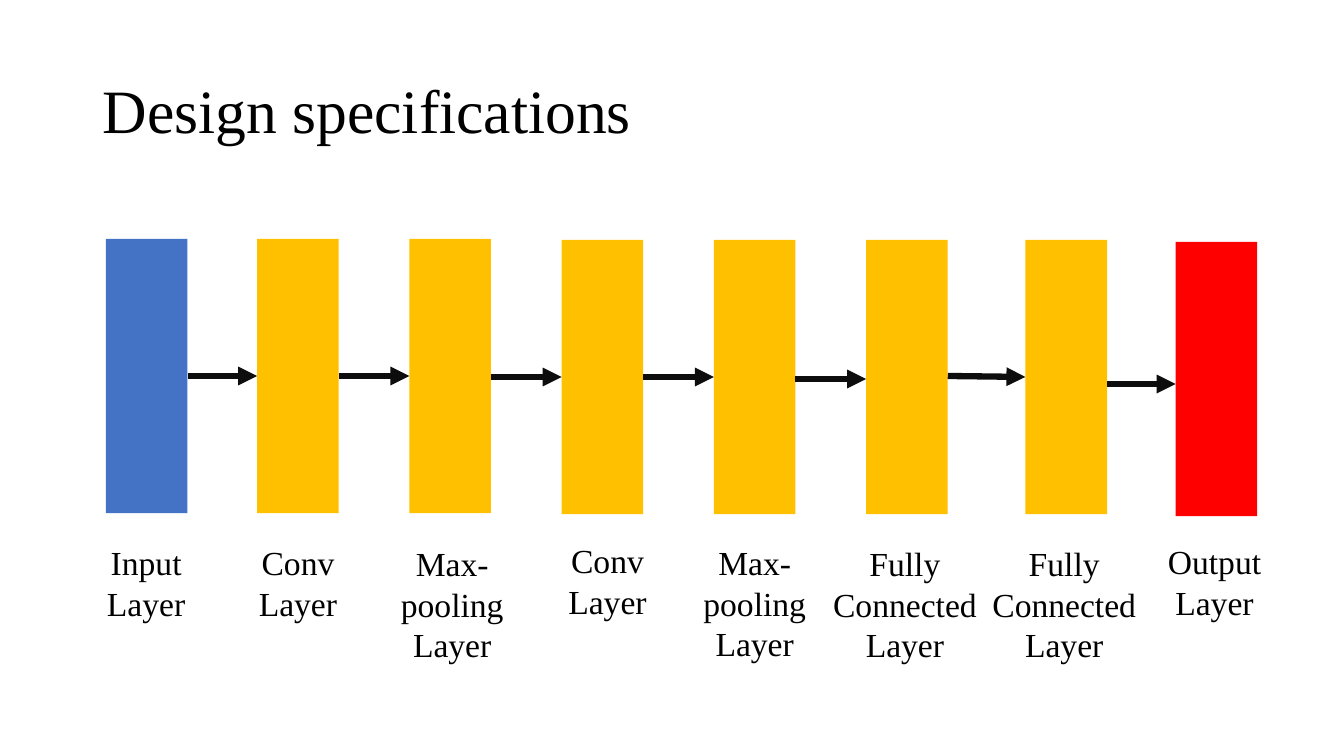
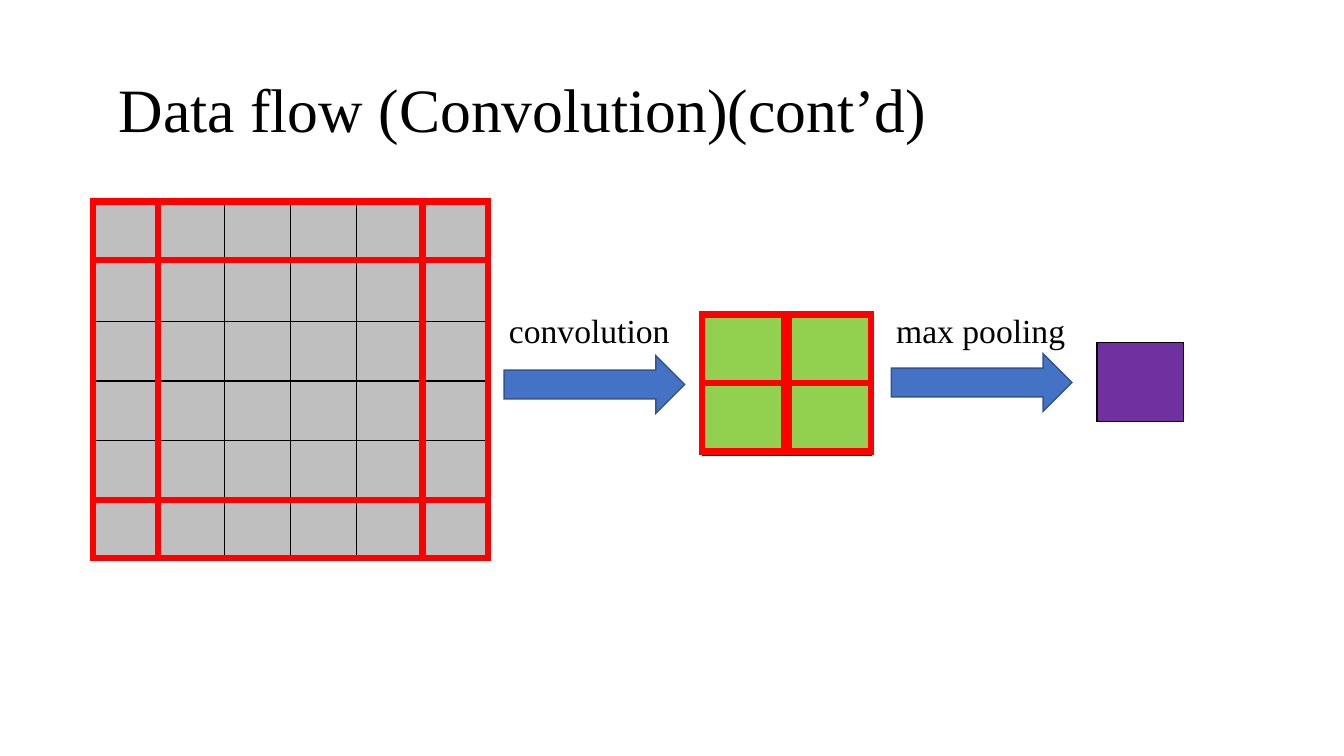
import dataclasses
import itertools

import lxml.etree
import pptx
import pptx.dml.color
import pptx.enum.shapes
import pptx.enum.text
import pptx.oxml
import pptx.oxml.ns
import pptx.util

Inches = pptx.util.Inches
Pt = pptx.util.Pt
qn = pptx.oxml.ns.qn
SHAPES = pptx.enum.shapes.MSO_SHAPE
ALIGN = pptx.enum.text.PP_ALIGN
ANCHOR = pptx.enum.text.MSO_ANCHOR


@dataclasses.dataclass(frozen=True)
class Theme:
    font: str = "Times New Roman"
    title_size: int = 44
    label_size: int = 24
    text: str = "000000"
    blue: str = "4472C4"
    blue_edge: str = "325491"
    amber: str = "FFC000"
    red: str = "FF0000"
    grey: str = "BFBFBF"
    green: str = "92D050"
    purple: str = "7030A0"
    link: str = "0D0D0D"
    thin: float = 1
    thick: float = 4.5


THEME = Theme()

BAR_WIDTH, BAR_HEIGHT = 0.81, 2.72
# Name, colour, bar left, bar top, label left, label top, label width
LAYERS = [
    ("Input Layer", THEME.blue, 1.05, 2.37, 0.92, 5.33, 1.06),
    ("Conv Layer", THEME.amber, 2.55, 2.37, 2.3, 5.33, 1.31),
    ("Max-pooling Layer", THEME.amber, 4.06, 2.37, 3.83, 5.34, 1.31),
    ("Conv Layer", THEME.amber, 5.57, 2.38, 5.37, 5.31, 1.31),
    ("Max-pooling Layer", THEME.amber, 7.08, 2.38, 6.83, 5.33, 1.31),
    ("Fully Connected Layer", THEME.amber, 8.59, 2.38, 8.13, 5.34, 1.69),
    ("Fully Connected Layer", THEME.amber, 10.17, 2.38, 9.71, 5.34, 1.69),
    ("Output Layer", THEME.red, 11.66, 2.4, 11.39, 5.32, 1.31),
]
# Start and end height of the arrow after each layer
LINK_HEIGHTS = [(3.73, 3.73), (3.73, 3.73), (3.74, 3.74), (3.74, 3.74),
                (3.76, 3.76), (3.73, 3.74), (3.81, 3.81)]


def rgb(colour):
    return pptx.dml.color.RGBColor.from_string(colour)


def apply_format(target, values):
    for name, value in values.items():
        setattr(target, name, value)


def add_text(slide, text, box, size=THEME.label_size, frame=None, paragraph=None):
    text_frame = slide.shapes.add_textbox(*map(Inches, box)).text_frame
    apply_format(text_frame, {"word_wrap": True, **(frame or {})})
    line = text_frame.paragraphs[0]
    apply_format(line, paragraph or {})
    run = line.add_run()
    run.text = text
    apply_format(run.font, {"name": THEME.font, "size": Pt(size)})
    run.font.color.rgb = rgb(THEME.text)


def add_title(slide, text, left, top):
    add_text(slide, text, (left, top, 11.5, 1.45), THEME.title_size,
             {"vertical_anchor": ANCHOR.MIDDLE}, {"line_spacing": 0.9})


def add_block(slide, box, fill=None, edge=None, weight=THEME.thin,
              preset=SHAPES.RECTANGLE):
    """Add a preset shape with square corners; no fill or edge colour means none."""
    block = slide.shapes.add_shape(preset, *map(Inches, box))
    block.shadow.inherit = False
    for part, colour in ((block.fill, fill), (block.line.fill, edge)):
        if colour:
            part.solid()
            part.fore_color.rgb = rgb(colour)
        else:
            part.background()
    if edge:
        block.line.width = Pt(weight)
        lxml.etree.SubElement(block.line._get_or_add_ln(), qn("a:miter"), lim="800000")


def add_link(slide, start, end):
    link = slide.shapes.add_connector(
        pptx.enum.shapes.MSO_CONNECTOR.STRAIGHT, *map(Inches, start + end))
    link.line.color.rgb = rgb(THEME.link)
    link.line.width = Pt(THEME.thick)
    lxml.etree.SubElement(link.line._get_or_add_ln(), qn("a:tailEnd"), type="triangle")
    lxml.etree.SubElement(link._element.spPr, qn("a:effectLst"))


def set_borders(cell):
    properties = cell._tc.get_or_add_tcPr()
    for index, side in enumerate(("lnL", "lnR", "lnT", "lnB")):
        border = pptx.oxml.parse_xml(
            f'<a:{side} {pptx.oxml.ns.nsdecls("a")} w="{Pt(THEME.thin)}">'
            f'<a:solidFill><a:srgbClr val="{THEME.text}"/></a:solidFill></a:{side}>')
        properties.insert(index, border)


def add_grid(slide, box, count, fill):
    """Add a square table of count by count empty, filled cells."""
    table = slide.shapes.add_table(count, count, *map(Inches, box)).table
    apply_format(table, {"first_row": False, "horz_banding": False})
    for cell in table.iter_cells():
        cell.fill.solid()
        cell.fill.fore_color.rgb = rgb(fill)
        set_borders(cell)


def add_windows(slide, lefts, tops, width, height):
    """Outline one red window at every pairing of left and top."""
    for top, left in itertools.product(tops, lefts):
        add_block(slide, (left, top, width, height), edge=THEME.red, weight=THEME.thick)


def add_step(slide, text, left, arrow_top):
    """Add a block arrow with its one-line label above."""
    add_block(slide, (left + 0.05, arrow_top, 1.79, 0.57), THEME.blue,
              THEME.blue_edge, preset=SHAPES.RIGHT_ARROW)
    add_text(slide, text, (left, 3.03, 2.1, 0.5))


def build_design(slide):
    add_title(slide, "Design specifications", 0.92, 0.4)
    for name, colour, left, top, label_left, label_top, label_width in LAYERS:
        add_block(slide, (left, top, BAR_WIDTH, BAR_HEIGHT), colour)
        add_text(slide, name, (label_left, label_top, label_width, 1.31),
                 paragraph={"alignment": ALIGN.CENTER})
    lefts = [layer[2] for layer in LAYERS]
    for (left, following), (start, end) in zip(itertools.pairwise(lefts), LINK_HEIGHTS):
        add_link(slide, (left + BAR_WIDTH, start), (following, end))


def build_data_flow(slide):
    add_title(slide, "Data flow (Convolution)(cont’d)", 1.08, 0.39)
    add_grid(slide, (0.92, 2, 3.93, 3.56), 6, THEME.grey)
    add_grid(slide, (6.97, 3.12, 1.67, 1.4), 2, THEME.green)
    add_windows(slide, (0.92, 1.57), (2, 2.58), 3.27, 2.96)
    add_windows(slide, (6.96, 7.78), (3.12, 3.8), 0.86, 0.68)
    add_step(slide, "convolution", 4.95, 3.53)
    add_step(slide, "max pooling", 8.79, 3.51)
    add_block(slide, (10.88, 3.4, 0.86, 0.78), THEME.purple, THEME.text)


def main():
    deck = pptx.Presentation()
    apply_format(deck, {"slide_width": Inches(13.33), "slide_height": Inches(7.5)})
    for build in (build_design, build_data_flow):
        build(deck.slides.add_slide(deck.slide_layouts[6]))
    deck.save("out.pptx")


if __name__ == "__main__":
    main()
